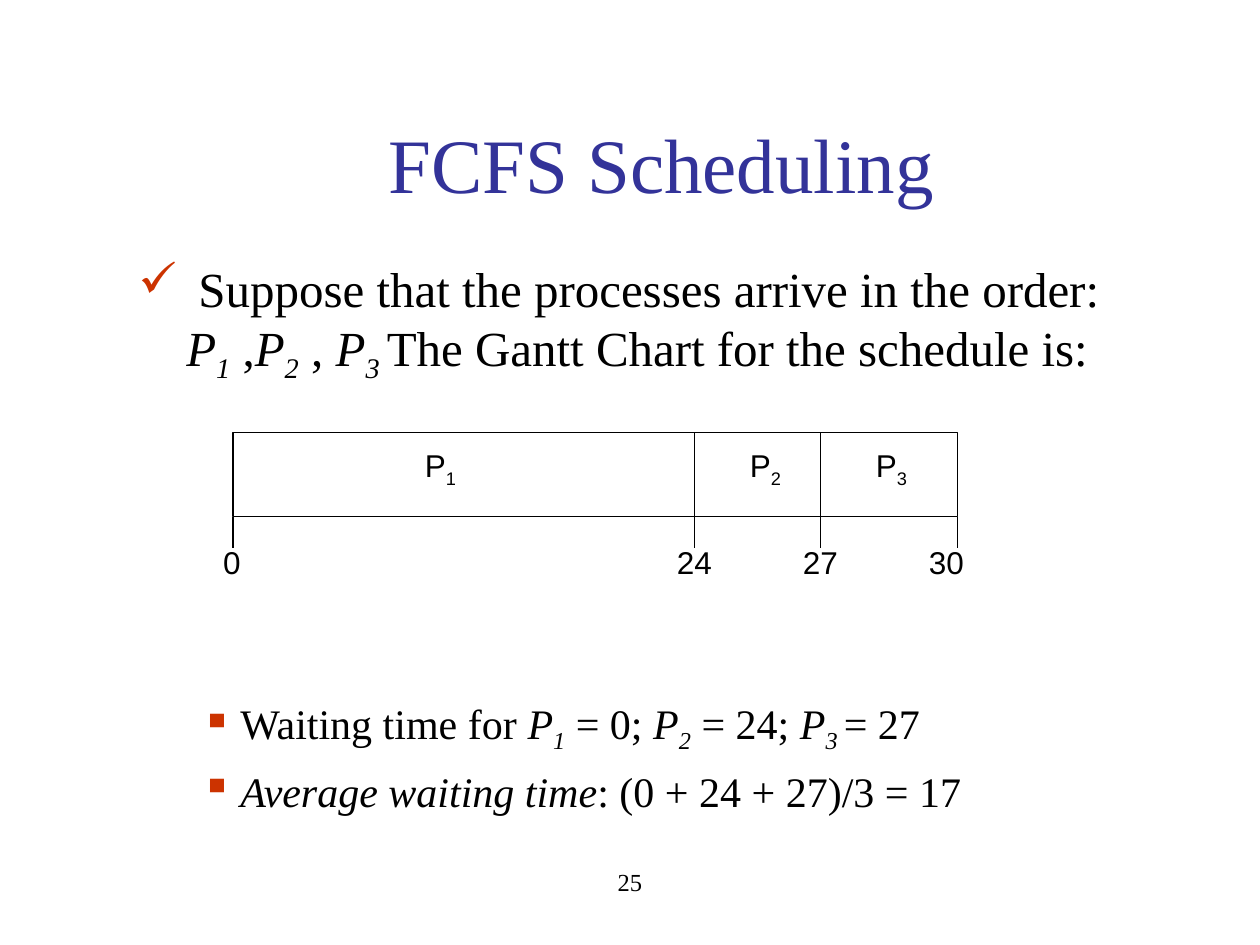
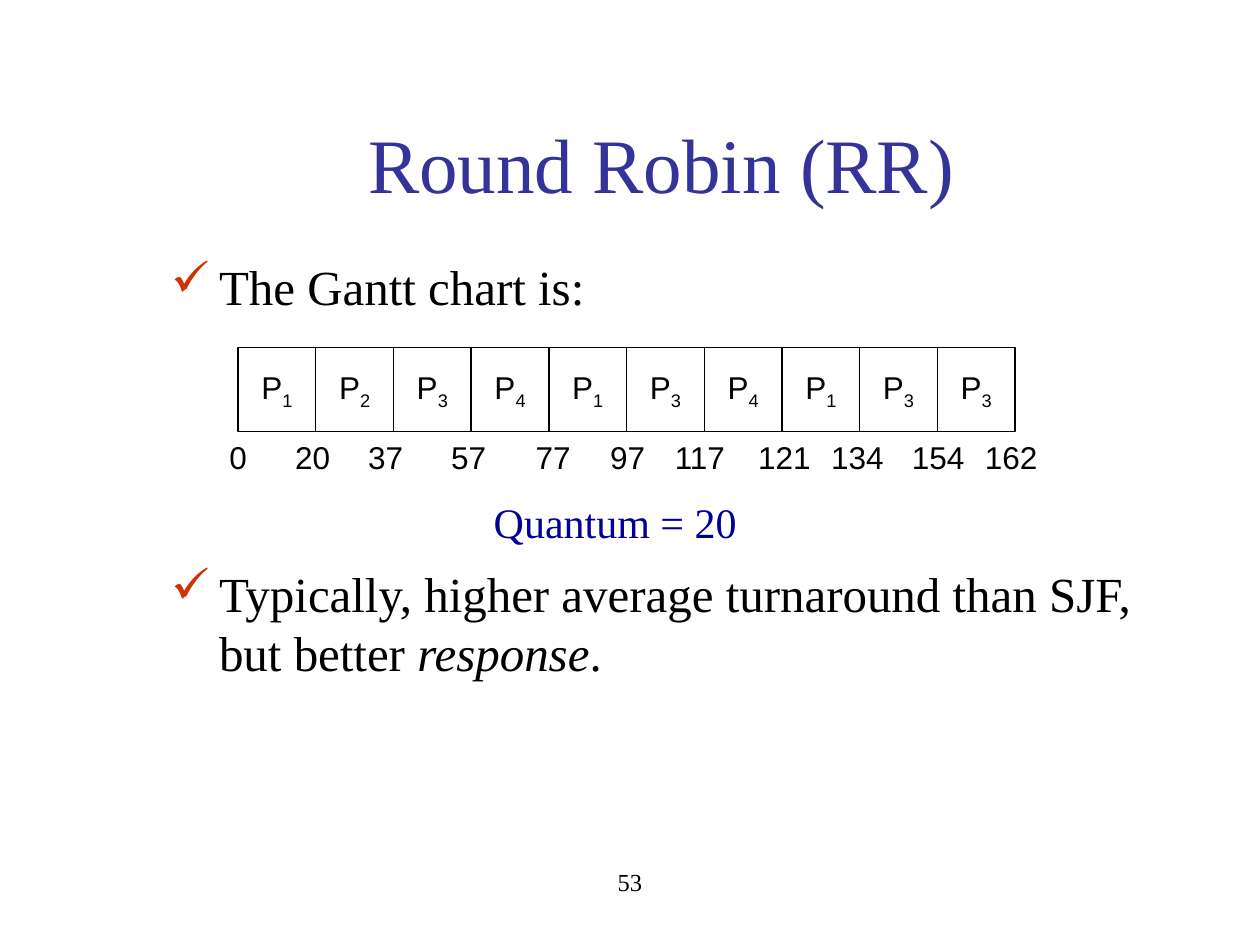
from dataclasses import dataclass

from lxml import etree
from pptx import Presentation
from pptx.dml.color import RGBColor
from pptx.enum.shapes import MSO_CONNECTOR, MSO_SHAPE
from pptx.enum.text import MSO_ANCHOR, PP_ALIGN
from pptx.oxml.ns import qn
from pptx.util import Inches, Pt

CENTER = PP_ALIGN.CENTER
LEFT = PP_ALIGN.LEFT
MIDDLE = MSO_ANCHOR.MIDDLE
TOP = MSO_ANCHOR.TOP
RECTANGLE = MSO_SHAPE.RECTANGLE
STRAIGHT = MSO_CONNECTOR.STRAIGHT


@dataclass(frozen=True)
class Theme:
    serif: str = "Times New Roman"
    sans: str = "Arial"
    ink: RGBColor = RGBColor(0, 0, 0)
    paper: RGBColor = RGBColor(255, 255, 255)
    title: RGBColor = RGBColor(0x33, 0x33, 0x99)
    accent: RGBColor = RGBColor(0, 0, 0x99)
    bullet: str = "CC3300"
    title_size: int = 44
    body_size: int = 28
    detail_size: int = 24
    chart_size: int = 18
    footer_size: int = 14
    line: float = 0.74


theme = Theme()
deck = Presentation()
deck.slide_width, deck.slide_height = Inches(10), Inches(7.5)
column = deck.slide_width / 120
row = deck.slide_height / 90

PLAIN = {}
ITALIC = {"italic": True}
SUB = {"baseline": -25000}
ITALIC_SUB = ITALIC | SUB
TITLE = {"size": theme.title_size, "color": theme.title, "align": CENTER}
FOOTER = {"size": theme.footer_size, "align": CENTER}
CHART = {"font": theme.sans, "size": theme.chart_size, "align": CENTER}
CHECK = {"size": theme.body_size, "bullet": "✓", "margin": 0.38, "hang": -0.38, "before": 7}
SQUARE = {"size": theme.detail_size, "bullet": "▪", "margin": 0.81, "hang": -0.31, "before": 6}
NOTE = {"size": theme.detail_size, "color": theme.accent, "margin": 2.56, "before": 103}


def write(frame, paragraphs, anchor=TOP, wrap=True):
    frame.word_wrap = wrap
    frame.vertical_anchor = anchor
    for index, (style, spans) in enumerate(paragraphs):
        para = frame.add_paragraph() if index else frame.paragraphs[0]
        para.alignment = style.get("align", LEFT)
        para.space_before = Pt(style.get("before", 0))
        properties = para._p.get_or_add_pPr()
        for name, key in {"marL": "margin", "indent": "hang"}.items():
            properties.set(name, str(Inches(style.get(key, 0))))
        if "bullet" in style:
            tint = etree.SubElement(properties, qn("a:buClr"))
            etree.SubElement(tint, qn("a:srgbClr"), val=theme.bullet)
            etree.SubElement(properties, qn("a:buChar"), char=style["bullet"])
        for text, change in spans:
            span = para.add_run()
            span.text = text
            look = {
                "name": style.get("font", theme.serif),
                "size": Pt(style["size"]),
                "italic": change.get("italic", False),
            }
            for name, value in look.items():
                setattr(span.font, name, value)
            span.font.color.rgb = style.get("color", theme.ink)
            if "baseline" in change:
                span._r.get_or_add_rPr().set("baseline", str(change["baseline"]))


def place(page, left, top, width, height, kind=None):
    area = [round(size) for size in (left * column, top * row, width * column, height * row)]
    if kind is None:
        return page.shapes.add_textbox(*area).text_frame
    box = page.shapes.add_shape(kind, *area)
    box.shadow.inherit = False
    box.fill.solid()
    box.fill.fore_color.rgb = theme.paper
    box.line.color.rgb = theme.ink
    box.line.width = Pt(theme.line)
    return box.text_frame


slides = [
    {
        "title": "FCFS Scheduling",
        "number": "25",
        "body_area": (12, 24, 99, 56),
        "body": [
            (CHECK, [
                (" Suppose that the processes arrive in the order: ", PLAIN),
                ("P", ITALIC), ("1", ITALIC_SUB), (" ,", PLAIN),
                ("P", ITALIC), ("2", ITALIC_SUB), (" , ", PLAIN),
                ("P", ITALIC), ("3 ", ITALIC_SUB),
                ("The Gantt Chart for the schedule is:", PLAIN),
            ]),
            (SQUARE | {"before": 179}, [
                ("Waiting time for ", PLAIN),
                ("P", ITALIC), ("1", ITALIC_SUB), (" = 0; ", PLAIN),
                ("P", ITALIC), ("2", ITALIC_SUB), (" = 24; ", PLAIN),
                ("P", ITALIC), ("3 ", ITALIC_SUB), ("= 27", PLAIN),
            ]),
            (SQUARE, [("Average waiting time", ITALIC), (": (0 + 24 + 27)/3 = 17", PLAIN)]),
        ],
        "times": {"0": 22.08, "24": 66.12, "27": 78.12, "30": 90.12},
        "times_top": 51.12,
    },
    {
        "title": "Round Robin (RR)",
        "number": "53",
        "body_area": (15.12, 23.88, 95.88, 56.16),
        "body": [
            (CHECK, [("The Gantt chart is:", PLAIN)]),
            (NOTE, [("Quantum = 20", PLAIN)]),
            (CHECK | {"before": 10}, [
                ("Typically, higher average turnaround than SJF, but better ", PLAIN),
                ("response", ITALIC), (".", PLAIN),
            ]),
        ],
        "times": {
            "0": 22.68, "20": 29.76, "37": 36.72, "57": 44.64, "77": 52.68, "97": 59.76,
            "117": 66.66, "121": 74.7, "134": 81.66, "154": 89.34, "162": 96.3,
        },
        "times_top": 41.16,
    },
]

pages = []
for content in slides:
    page = deck.slides.add_slide(deck.slide_layouts[6])
    pages.append(page)
    write(place(page, 41, 82, 38, 6), [(FOOTER, [(content["number"], PLAIN)])])
    write(place(page, 12, 8, 102, 15), [(TITLE, [(content["title"], PLAIN)])], MIDDLE)
    write(place(page, *content["body_area"]), content["body"])
    for time, center in content["times"].items():
        width = 2.4 + 1.66 * len(time)
        label = place(page, center - width / 2, content["times_top"], width, 4.8)
        write(label, [(CHART, [(time, PLAIN)])], MIDDLE, False)

first, second = pages
bar_left, bar_top, bar_width, bar_height, tick = 22.2, 41.2, 69, 8, 3
bar_bottom = bar_top + bar_height
bar_right = bar_left + bar_width
place(first, bar_left, bar_top, bar_width, bar_height, RECTANGLE)
for process, center in {"1": 41.94, "2": 72.9, "3": 84.9}.items():
    label = place(first, center - 2.7, 41.88, 5.4, 5.28)
    write(label, [(CHART, [("P", PLAIN), (process, SUB)])], MIDDLE, False)

dividers = (66.12, 78.12)
lines = [(x, bar_top, bar_bottom) for x in dividers]
lines += [(x, bar_bottom, bar_bottom + tick) for x in (bar_left, *dividers, bar_right)]
for x, start, end in lines:
    ends = [round(size) for size in (x * column, start * row, x * column, end * row)]
    rule = first.shapes.add_connector(STRAIGHT, *ends)
    rule.line.color.rgb = theme.ink
    rule.line.width = Pt(theme.line)
    etree.SubElement(rule._element.spPr, qn("a:effectLst"))

cell_width = 7.4
for index, process in enumerate("1234134133"):
    cell = place(second, 22.68 + index * cell_width, 33.12, cell_width, 8, RECTANGLE)
    write(cell, [(CHART, [("P", PLAIN), (process, SUB)])], MIDDLE, False)

deck.save("out.pptx")
